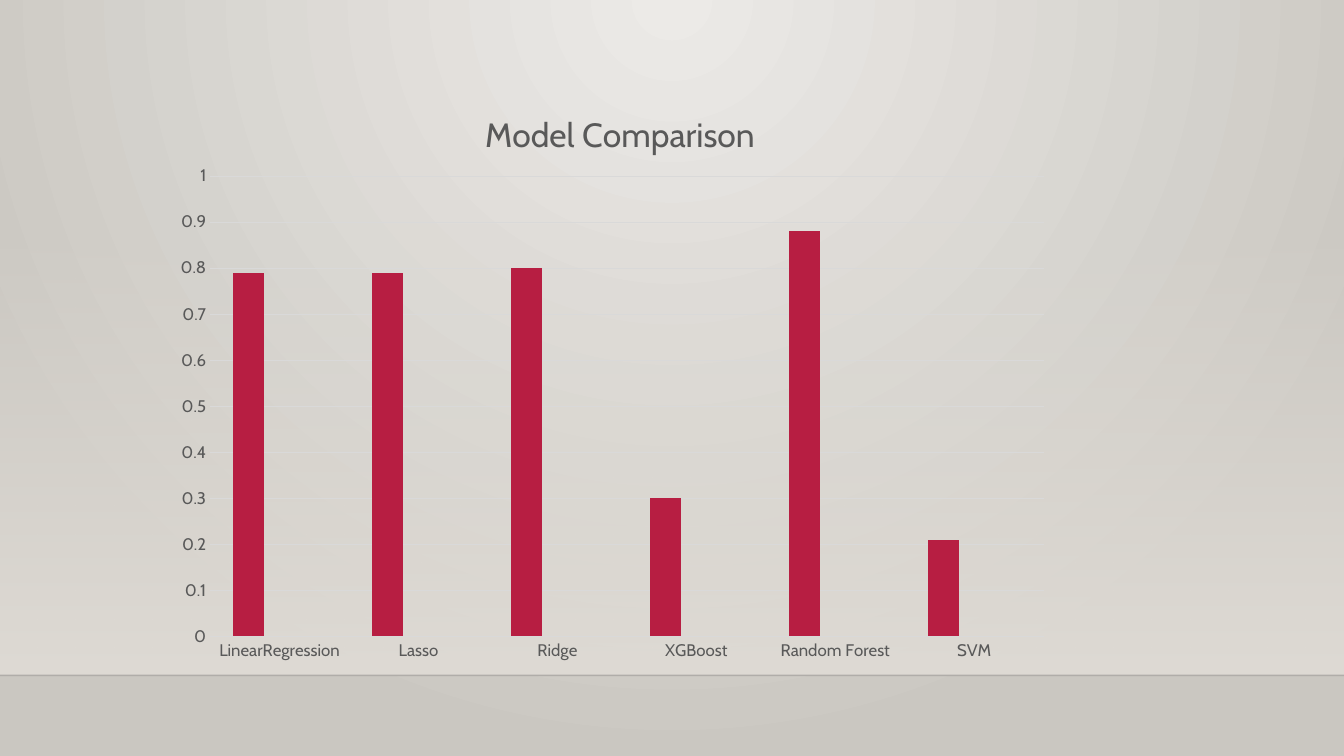
from lxml.etree import SubElement
from pptx import Presentation
from pptx.chart.data import CategoryChartData
from pptx.dml.color import RGBColor
from pptx.enum.chart import XL_CHART_TYPE, XL_TICK_MARK
from pptx.enum.shapes import MSO_CONNECTOR, MSO_SHAPE
from pptx.oxml import parse_xml
from pptx.oxml.ns import nsdecls, qn
from pptx.util import Inches, Pt

FONT = "Cabin"
BLACK = RGBColor(0x00, 0x00, 0x00)
HORIZON = RGBColor(0x00, 0x00, 0x01)
GLOW = RGBColor(0xEC, 0xEA, 0xE7)
STONE = RGBColor(0xCA, 0xC7, 0xC1)
WALL = RGBColor(0xDF, 0xDB, 0xD5)
TEXT = RGBColor(0x59, 0x59, 0x59)
GRID = RGBColor(0xD9, 0xD9, 0xD9)
SERIES_COLORS = [
    RGBColor(0xB7, 0x1E, 0x42),
    RGBColor(0xDE, 0x47, 0x8E),
    RGBColor(0xBC, 0x72, 0xF0),
]
SCORES = {
    "LinearRegression": 0.79,
    "Lasso": 0.79,
    "Ridge": 0.8,
    "XGBoost": 0.3,
    "Random Forest": 0.88,
    "SVM": 0.21,
}


def set_opacity(element, percent):
    """Give the first RGB colour inside the element an opacity."""
    color = next(element.iter(qn("a:srgbClr")))
    SubElement(color, qn("a:alpha"), val=str(percent * 1000))


def manual_layout(target, **fractions):
    """Build a chart layout from fractions of the chart's size."""
    inner = f'<c:layoutTarget val="{target}"/>' if target else ""
    modes = "".join(f'<c:{key}Mode val="edge"/>' for key in "xy")
    sizes = "".join(f'<c:{key} val="{value}"/>' for key, value in fractions.items())
    return parse_xml(
        f'<c:layout {nsdecls("c")}><c:manualLayout>{inner}{modes}{sizes}'
        "</c:manualLayout></c:layout>"
    )


deck = Presentation()
deck.slide_width = Inches(13.33)
deck.slide_height = Inches(7.5)
page = deck.slides.add_slide(deck.slide_layouts[6])

# Backdrop: a glow from the top centre
backdrop = page.background.fill
backdrop.gradient()
for stop, color in zip(backdrop.gradient_stops, (GLOW, STONE)):
    stop.color.rgb = color
gradient = next(page.element.iter(qn("a:gradFill")))
gradient.replace(
    gradient.find(qn("a:lin")),
    parse_xml(
        f'<a:path {nsdecls("a")} path="circle">'
        '<a:fillToRect l="43000" t="0" r="43000" b="100000"/></a:path>'
    ),
)

# Wall fading in down to the floor line
wall = page.shapes.add_shape(
    MSO_SHAPE.RECTANGLE, Inches(0), Inches(2.21), Inches(13.33), Inches(4.49)
)
wall.shadow.inherit = False
wall.line.fill.background()
wall.fill.gradient()
wall.fill.gradient_angle = 270
for stop in wall.fill.gradient_stops:
    stop.color.rgb = WALL
set_opacity(wall.element.spPr, 0)

floor_line = page.shapes.add_connector(
    MSO_CONNECTOR.STRAIGHT, Inches(0), Inches(6.7), Inches(13.33), Inches(6.7)
)
floor_line.line.color.rgb = HORIZON
floor_line.line.width = Pt(1)
set_opacity(floor_line.element.spPr, 20)
SubElement(floor_line.element.spPr, qn("a:effectLst"))

# Model scores
data = CategoryChartData()
data.categories = list(SCORES)
data.add_series("Series 1", list(SCORES.values()))
for name in ("Series 2", "Series 3"):
    data.add_series(name, [None] * len(SCORES))
chart = page.shapes.add_chart(
    XL_CHART_TYPE.COLUMN_CLUSTERED,
    Inches(1.64), Inches(0.74), Inches(8.89), Inches(5.93), data,
).chart
chart.has_legend = False
chart.font.name = FONT
chart.font.size = Pt(10)
chart.font.color.rgb = BLACK

chart.has_title = True
span = chart.chart_title.text_frame.paragraphs[0].add_run()
span.text = "Model Comparison"
span.font.name = FONT
span.font.size = Pt(24)
span.font.bold = False
span.font.color.rgb = TEXT
chart.chart_title.include_in_layout = False
title = chart.chart_title._element
for layout in title.findall(qn("c:layout")):
    title.remove(layout)
title.find(qn("c:tx")).addnext(manual_layout(None, x=0.35, y=0.05))

plot = chart.plots[0]
plot.vary_by_categories = False
plot.gap_width = 150
plot.overlap = 0
for series, color in zip(plot.series, SERIES_COLORS):
    series.invert_if_negative = False
    series.format.fill.solid()
    series.format.fill.fore_color.rgb = color

for axis in (chart.category_axis, chart.value_axis):
    axis.major_tick_mark = XL_TICK_MARK.NONE
    axis.minor_tick_mark = XL_TICK_MARK.NONE
    axis.format.line.fill.background()
    axis.tick_labels.font.name = FONT
    axis.tick_labels.font.size = Pt(12)
    axis.tick_labels.font.color.rgb = TEXT

values = chart.value_axis
values.minimum_scale = 0
values.maximum_scale = 1
values.major_unit = 0.1
values.has_major_gridlines = True
values.major_gridlines.format.line.color.rgb = GRID
values.major_gridlines.format.line.width = Pt(0.75)

plot_area = next(chart.element.iter(qn("c:plotArea")))
for layout in plot_area.findall(qn("c:layout")):
    plot_area.remove(layout)
plot_area.insert(0, manual_layout("inner", x=0.05, y=0.17, w=0.93, h=0.77))

deck.save("out.pptx")
